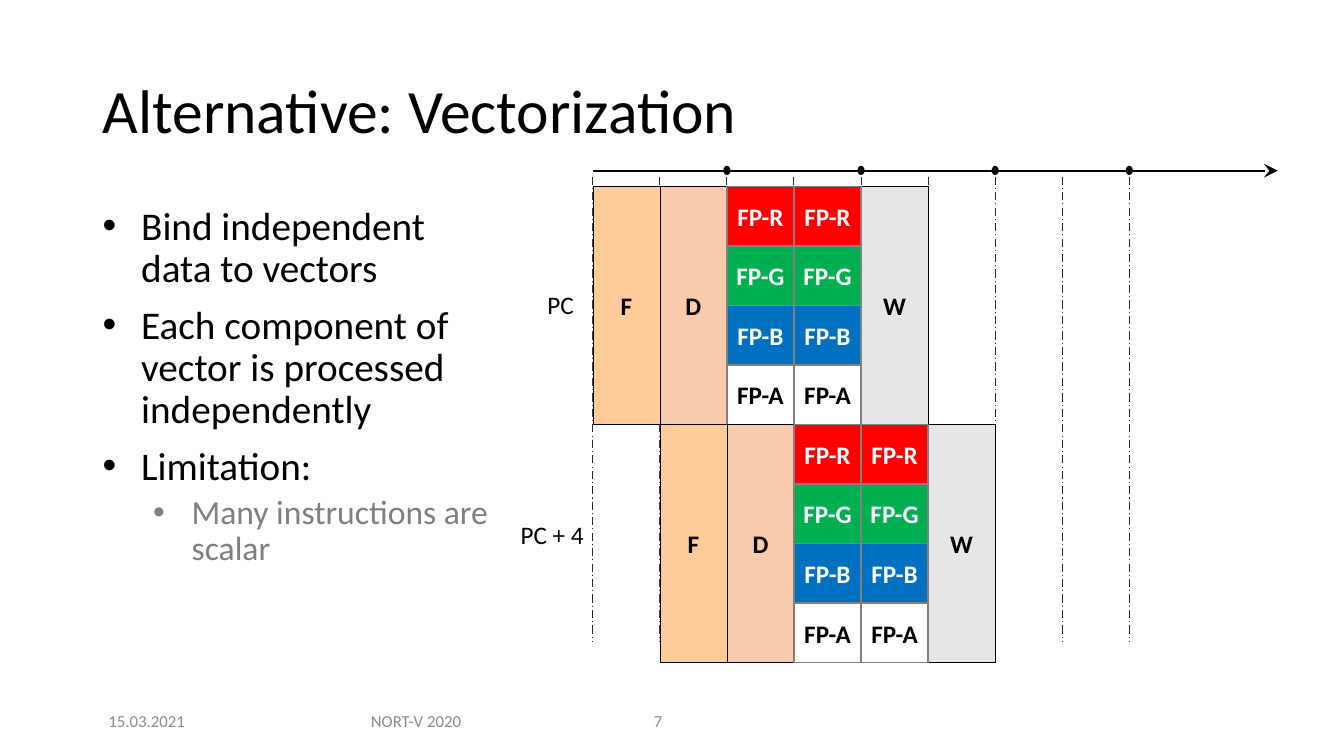
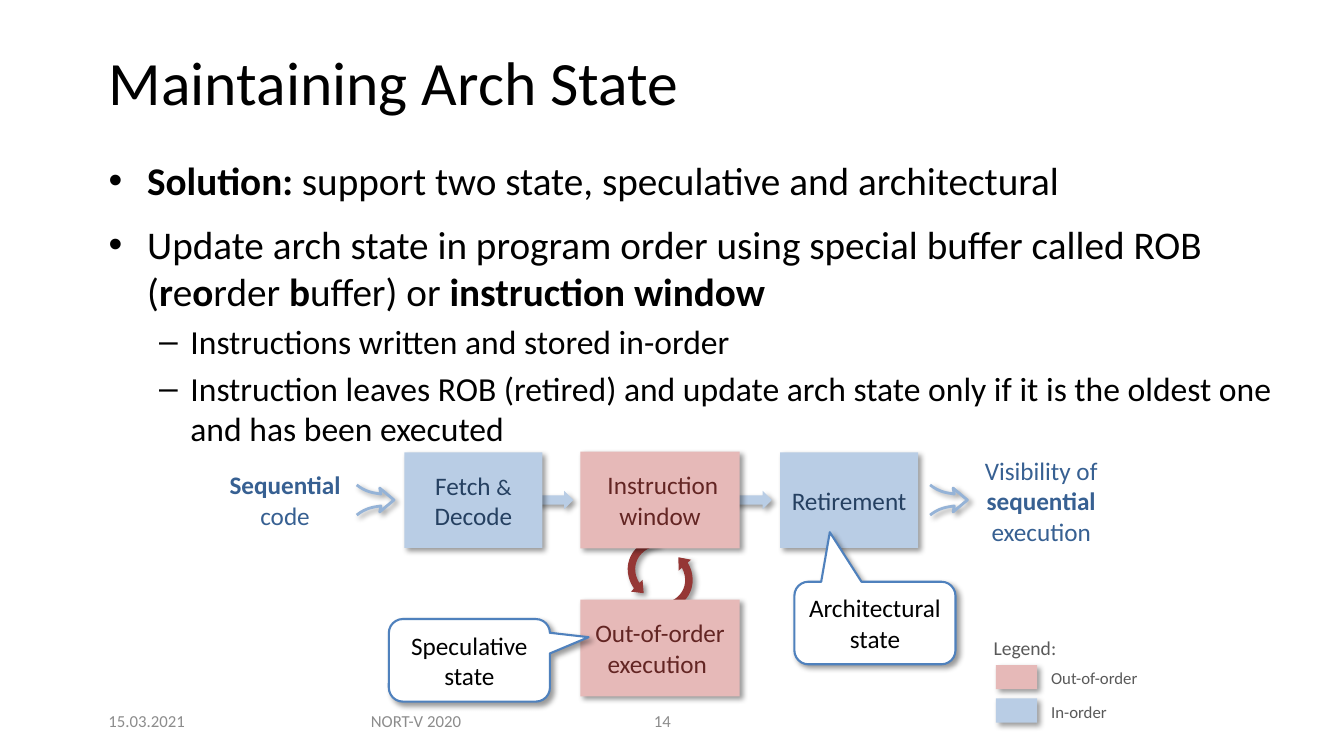
from pptx import Presentation
from pptx.util import Cm, Pt
from pptx.dml.color import RGBColor
from pptx.enum.dml import MSO_LINE
from pptx.enum.shapes import MSO_CONNECTOR, MSO_SHAPE
from pptx.enum.text import MSO_ANCHOR, PP_ALIGN
from pptx.oxml.ns import qn
from lxml.etree import SubElement

HUES = {
    "black": "000000", "white": "FFFFFF", "gray": "808080", "foot": "8C8C8C",
    "guide": "222A35", "fetch": "FFCC99", "decode": "F8CBAD", "write": "E7E6E6",
    "red": "FF0000", "green": "00B050", "blue": "0070C0",
    "pink": "E6B9B8", "sky": "B9CDE5", "wine": "632523", "navy": "254061",
    "steel": "376092", "curve": "95B3D7", "edge": "4F81BD", "loop": "953735",
    "note": "595959",
}
HUES = {name: RGBColor.from_string(code) for name, code in HUES.items()}
ALIGN = {"l": PP_ALIGN.LEFT, "c": PP_ALIGN.CENTER, "r": PP_ALIGN.RIGHT}


def cast(shape):
    shape.shadow.inherit = False
    glow = SubElement(shape._element.spPr.find(qn("a:effectLst")), qn("a:outerShdw"),
                      blurRad="50800", dist="38100", dir="2700000", algn="tl", rotWithShape="0")
    tone = SubElement(glow, qn("a:srgbClr"), val=str(HUES["black"]))
    SubElement(tone, qn("a:alpha"), val="40000")


def box(page, spot, text="", kind=None, fill=None, line=None, width=1, shade=False,
        size=18, color="black", bold=False, align="c", top=False, wrap=True, lead=1.0):
    place = [Cm(n) for n in spot]
    if kind is None:
        shape = page.shapes.add_textbox(*place)
    else:
        shape = page.shapes.add_shape(kind, *place)
        shape.shadow.inherit = False
        shape.fill.solid()
        shape.fill.fore_color.rgb = HUES[fill]
        if line:
            shape.line.color.rgb = HUES[line]
            shape.line.width = Pt(width)
        else:
            shape.line.fill.background()
        if shade:
            cast(shape)
    if text:
        frame = shape.text_frame
        frame.word_wrap = wrap
        frame.vertical_anchor = MSO_ANCHOR.TOP if top else MSO_ANCHOR.MIDDLE
        for i, row in enumerate(text.split("\n")):
            para = frame.add_paragraph() if i else frame.paragraphs[0]
            para.alignment = ALIGN[align]
            para.line_spacing = lead
            for j, part in enumerate(row.split("*")):
                if part:
                    run = para.add_run()
                    run.text = part
                    run.font.name = "Calibri"
                    run.font.size = Pt(size)
                    run.font.bold = bold or j % 2 == 1
                    run.font.color.rgb = HUES[color]
    return shape


deck = Presentation()
deck.slide_width, deck.slide_height = Cm(33.87), Cm(19.05)

# style: bullet, left, hang, size, color, space before
""
MAIN = ("•", 0.97, 0.97, 28, "black", 10)
SUB = ("•", 2.24, 0.97, 24, "gray", 5)
WIDE = ("•", 0.97, 0.97, 28, "black", 12)
DASH = ("–", 2.06, 0.79, 24, "black", 4.8)

plans = [
    ("7", "Alternative: Vectorization", (2.34, 1.02, 29.21, 3.68), (2.34, 5.08, 10.24, 11.48), 0.9, [
        ("Bind independent data to vectors", MAIN),
        ("Each component of vector is processed independently", MAIN),
        ("Limitation:", MAIN),
        ("Many instructions are scalar", SUB)]),
    ("14", "Maintaining Arch State", (2.49, 0.99, 23.01, 2.31), (2.49, 3.81, 30.51, 13.87), 1.0, [
        ("*Solution:* support two state, speculative and architectural", WIDE),
        ("Update arch state in program order using special buffer called ROB "
         "(*r*e*o*rder *b*uffer) or *instruction window*", WIDE),
        ("Instructions written and stored in-order", DASH),
        ("Instruction leaves ROB (retired) and update arch state only if it is "
         "the oldest one and has been executed", DASH)]),
]
pages = []
for number, title, head, body, lead, rows in plans:
    page = deck.slides.add_slide(deck.slide_layouts[6])
    pages.append(page)
    for x, w, text, align in [(2.34, 2.72, "15.03.2021", "c"), (8.48, 4.01, "NORT-V 2020", "c"),
                              (16.23, 2.01, number, "l")]:
        box(page, (x, 17.65, w, 1.02), text, size=12, color="foot", align=align)
    box(page, head, title, size=44, align="l", lead=0.9)
    list_box = box(page, body, "\n".join(text for text, style in rows), align="l", top=True, lead=lead)
    for para, (text, style) in zip(list_box.text_frame.paragraphs, rows):
        mark, left, hang, size, color, before = style
        para.space_before = Pt(before)
        para.level = int(style in (SUB, DASH))
        for run in para.runs:
            run.font.size = Pt(size)
            run.font.color.rgb = HUES[color]
        props = para._p.get_or_add_pPr()
        props.set("marL", str(Cm(left)))
        props.set("indent", str(-Cm(hang)))
        SubElement(props, qn("a:buFont"), typeface="Arial")
        SubElement(props, qn("a:buChar"), char=mark)

lanes, flow = pages

LEFT, STEP, TOP, ROW, AXIS = 14.94, 1.69, 4.7, 1.5, 4.3
lines = [(LEFT, AXIS, 32.2, AXIS)]
lines += [(LEFT + i * STEP, 4.45, LEFT + i * STEP, 16.18) for i in range(9)]
for x, y, end, low in lines:
    rule = lanes.shapes.add_connector(MSO_CONNECTOR.STRAIGHT, Cm(x), Cm(y), Cm(end), Cm(low))
    if y == AXIS:
        rule.line.color.rgb = HUES["black"]
        rule.line.width = Pt(1.5)
        SubElement(rule.line._get_or_add_ln(), qn("a:tailEnd"), type="stealth", w="lg", len="lg")
    else:
        rule.line.color.rgb = HUES["guide"]
        rule.line.width = Pt(0.75)
        rule.line.dash_style = MSO_LINE.LONG_DASH_DOT
    SubElement(rule._element.spPr, qn("a:effectLst"))
for i in range(2, 9, 2):
    box(lanes, (LEFT + i * STEP - 0.09, AXIS - 0.12, 0.18, 0.23), kind=MSO_SHAPE.OVAL, fill="black")

stages = [(0, "F", "fetch"), (1, "D", "decode"), (4, "W", "write")]
parts = [("FP-R", "red"), ("FP-G", "green"), ("FP-B", "blue"), ("FP-A", "white")]
for lane in range(2):
    x, y = LEFT + lane * STEP, TOP + lane * 4 * ROW
    for col, text, fill in stages:
        box(lanes, (x + col * STEP, y, STEP, 4 * ROW), text, kind=MSO_SHAPE.RECTANGLE,
            fill=fill, line="black", width=0.25, bold=True, wrap=False)
    for col in (2, 3):
        for i, (text, fill) in enumerate(parts):
            box(lanes, (x + col * STEP, y + i * ROW, STEP, ROW), text, kind=MSO_SHAPE.RECTANGLE,
                fill=fill, line="gray", bold=True, wrap=False,
                color="black" if fill == "white" else "white")
box(lanes, (13.08, 7.16, 1.63, 1.02), "PC", align="r")
box(lanes, (12.29, 12.95, 2.67, 1.02), "PC + 4", align="r")

for x, y, turn, flip in [(15.8, 13.35, 288.6, "flipH"), (15.58, 13.49, 292.9, "flipV")]:
    loop = box(flow, (x, y, 1.9, 2.11), kind=MSO_SHAPE.CIRCULAR_ARROW, fill="loop", shade=True)
    loop.rotation = turn
    loop._element.spPr.xfrm.set(flip, "1")
    for i, value in enumerate([0.1, 11.42, 189.24, 126.7, 0.11]):
        loop.adjustments[i] = value
for x in (13.36, 18.36):
    box(flow, (x, 12.37, 1.09, 0.46), kind=MSO_SHAPE.RIGHT_ARROW, fill="sky", shade=True)

blocks = [
    ((19.66, 11.4, 3.48, 2.41), "Retirement", "sky", "navy"),
    ((14.63, 11.38, 4.01, 2.44), " Instruction window", "pink", "wine"),
    ((14.63, 15.11, 4.01, 2.44), "Out-of-order execution ", "pink", "wine"),
    ((10.19, 11.4, 3.48, 2.41), "Fetch **&** Decode", "sky", "navy"),
]
for spot, text, fill, color in blocks:
    block = box(flow, spot, text, kind=MSO_SHAPE.RECTANGLE, fill=fill, color=color, shade=True)
block.text_frame.paragraphs[0].runs[1].font.size = Pt(16)

box(flow, (5.38, 11.71, 3.61, 1.8), "*Sequential* code", color="steel", top=True)
box(flow, (24.31, 11.35, 3.86, 2.57), "Visibility of\n*sequential *execution", color="steel", top=True)

upper = []
for i in range(9):
    t = i / 8
    a, b, c = 3 * t * (1 - t) ** 2, 3 * t * t * (1 - t), t ** 3
    upper.append((0.23 * a + 0.41 * b + 0.61 * c, 0.18 * a + 0.2 * b + 0.23 * c))
upper.append((0.58, 0.08))
lower = [(x, 0.76 - y) for x, y in reversed(upper)]
for left in (8.99, 23.44):
    dots = [(Cm(left + x), Cm(12.22 + y)) for x, y in upper + [(0.94, 0.38)] + lower]
    pen = flow.shapes.build_freeform(*dots[0])
    pen.add_line_segments(dots[1:], close=False)
    swoop = pen.convert_to_shape()
    swoop.fill.background()
    swoop.line.color.rgb = HUES["curve"]
    swoop.line.width = Pt(2)
    cast(swoop)

box(flow, (24.79, 15.9, 2.11, 0.86), "Legend:", size=14, color="note", align="l", wrap=False)
for y, text, fill in [(16.76, "Out-of-order", "pink"), (17.6, "In-order", "sky")]:
    box(flow, (25.1, y, 1.04, 0.61), kind=MSO_SHAPE.RECTANGLE, fill=fill, shade=True)
    box(flow, (26.24, y - 0.05, 2.72, 0.76), text, size=12, color="note", align="l", wrap=False)

calls = [((9.8, 15.6, 4.06, 2.08), "Speculative state", (0.74, -0.28, 0.17)),
         ((20.02, 14.66, 4.06, 2.08), "Architectural state", (-0.28, -1.1, 0.17))]
for spot, text, tip in calls:
    call = box(flow, spot, text, kind=MSO_SHAPE.ROUNDED_RECTANGULAR_CALLOUT, fill="white",
               line="edge", width=1.5, shade=True)
    for i, value in enumerate(tip):
        call.adjustments[i] = value

deck.save("out.pptx")
